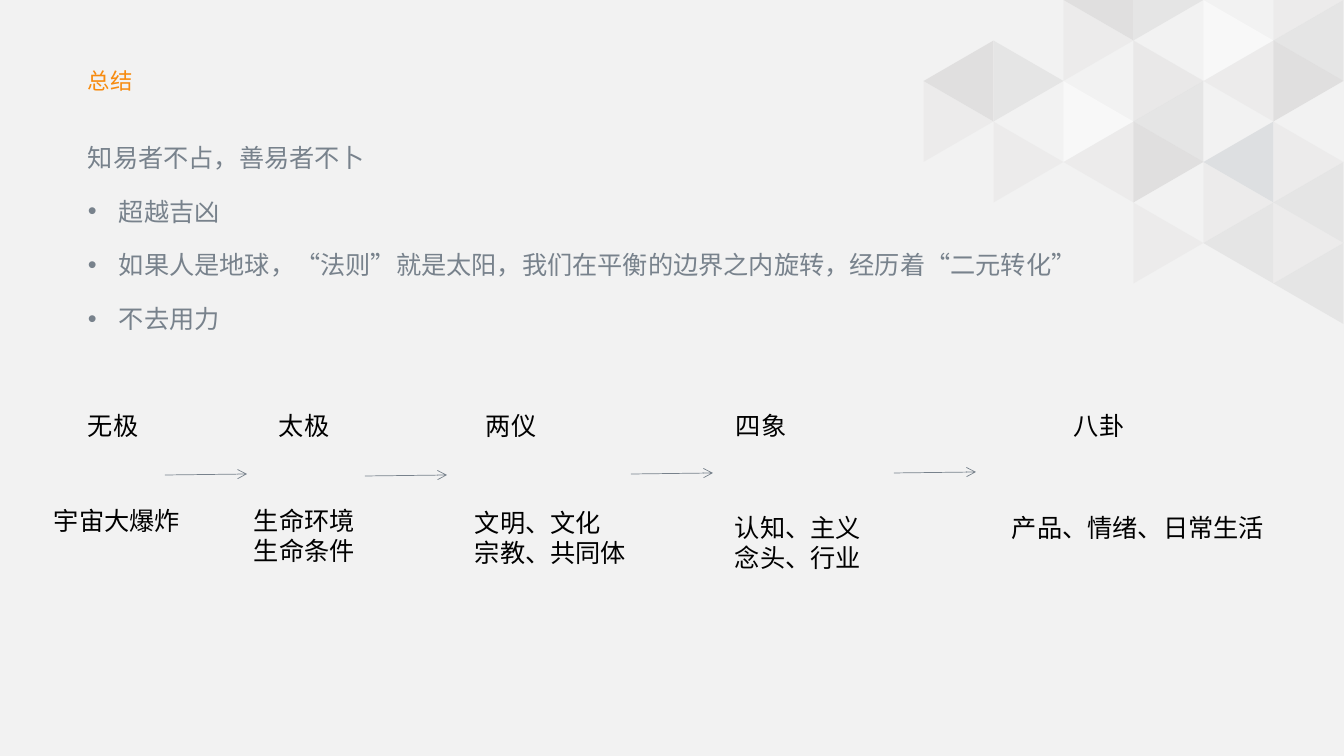
from dataclasses import dataclass

from lxml import etree
from pptx import Presentation
from pptx.dml.color import RGBColor
from pptx.enum.shapes import MSO_CONNECTOR, MSO_SHAPE
from pptx.enum.text import MSO_AUTO_SIZE, MSO_ANCHOR, PP_ALIGN
from pptx.oxml.ns import qn
from pptx.util import Emu, Pt

RECTANGLE, TRIANGLE = MSO_SHAPE.RECTANGLE, MSO_SHAPE.ISOSCELES_TRIANGLE
STRAIGHT = MSO_CONNECTOR.STRAIGHT
GROW, TOP, LEFT = MSO_AUTO_SIZE.SHAPE_TO_FIT_TEXT, MSO_ANCHOR.TOP, PP_ALIGN.LEFT

# Content
TITLE = "总结"
LEAD = "知易者不占，善易者不卜"
POINTS = [
    "超越吉凶",
    "如果人是地球，“法则”就是太阳，我们在平衡的边界之内旋转，经历着“二元转化”",
    "不去用力",
]
# Stage: name, name left, caption lines, caption left, caption top
STAGES = [
    ("无极", 78, ["宇宙大爆炸"], 44, 500),
    ("太极", 269, ["生命环境", "生命条件"], 244, 500),
    ("两仪", 476, ["文明、文化", "宗教、共同体"], 465, 502),
    ("四象", 726, ["认知、主义", "念头、行业"], 725, 507),
    ("八卦", 1064, ["产品、情绪、日常生活"], 1002, 507),
]
# Arrow: left, start height; each one rises by a single px
ARROWS = [(165, 475), (365, 476), (631, 474), (894, 473)]

# Triangle mosaic: one list per row, one word per column.
# A word holds the tint letters laid over each other; "-" is an empty place.
MOSAIC = [
    "- - d c f e",
    "- - e f w c",
    "d c f ee e d",
    "e f w c f f",
    "- e e d b e",
    "- - f f e fc",
    "- - f e c e",
    "- - - - - c",
]


@dataclass(frozen=True)
class Theme:
    font: str = "Noto Sans CJK SC"
    background: str = "F2F2F2"
    accent: str = "F78B0F"
    body: str = "78828C"
    label: str = "000000"
    title_size: int = 16
    text_size: int = 18
    arrow_width: float = 0.5


THEME = Theme()
TINTS = {"b": "C9CDD1", "c": "D9D9D9", "d": "D0CECE",
         "e": "E7E6E6", "f": "F2F2F2", "w": "FFFFFF"}

# Geometry in px
SLIDE_WIDTH, SLIDE_HEIGHT = 1344, 756
MOSAIC_LEFT, MOSAIC_TOP = 918, -35
TRIANGLE_BASE, TRIANGLE_HEIGHT = 81, 70
MARGIN, INDENT = 78, 31
NAME_TOP, ARROW_LENGTH = 405, 82
CHARACTER, LINE, PADDING = 25.2, 30, 20


def px(value):
    return Emu(round(value * 914400 / 100.8))


def add_filled(slide, preset, box, color, rotation=0, opacity=100):
    shape = slide.shapes.add_shape(preset, *map(px, box))
    shape.shadow.inherit = False
    shape.line.fill.background()
    shape.fill.solid()
    shape.fill.fore_color.rgb = RGBColor.from_string(color)
    shape.rotation = rotation
    if opacity < 100:
        tint = shape.fill._xPr.find(".//" + qn("a:srgbClr"))
        etree.SubElement(tint, qn("a:alpha"), val=str(opacity * 1000))


def add_text(slide, lines, box, *, size=THEME.text_size, color=THEME.label,
             wrap=True, spacing=None, after=None, bullets_from=None):
    frame = slide.shapes.add_textbox(*map(px, box)).text_frame
    frame.word_wrap = wrap
    frame.auto_size = GROW
    frame.vertical_anchor = TOP
    for index, line in enumerate(lines):
        paragraph = frame.paragraphs[0] if index == 0 else frame.add_paragraph()
        paragraph.alignment = LEFT
        if bullets_from is not None and index >= bullets_from:
            properties = paragraph._p.get_or_add_pPr()
            properties.set("marL", str(px(INDENT)))
            properties.set("indent", str(-px(INDENT)))
            etree.SubElement(properties, qn("a:buFont"), typeface="Arial")
            etree.SubElement(properties, qn("a:buChar"), char="•")
        if spacing:
            paragraph.line_spacing = spacing
        if after:
            paragraph.space_after = Pt(after)
        run = paragraph.add_run()
        run.text = line
        run.font.size = Pt(size)
        run.font.name = THEME.font
        run.font.color.rgb = RGBColor.from_string(color)
        etree.SubElement(run.font._element, qn("a:ea"), typeface=THEME.font)


def add_label(slide, lines, left, top):
    width = PADDING + CHARACTER * max(map(len, lines))
    height = 10 + LINE * len(lines)
    add_text(slide, lines, (left, top, width, height), wrap=False)


def add_arrow(slide, left, top):
    arrow = slide.shapes.add_connector(
        STRAIGHT, px(left), px(top), px(left + ARROW_LENGTH), px(top - 1))
    arrow.line.width = Pt(THEME.arrow_width)
    arrow.line.color.rgb = RGBColor.from_string(THEME.body)
    etree.SubElement(arrow.line._get_or_add_ln(), qn("a:tailEnd"), type="arrow")
    etree.SubElement(arrow._element.spPr, qn("a:effectLst"))


def add_mosaic(slide):
    for row, words in enumerate(MOSAIC):
        for column, letters in enumerate(words.split()):
            box = (MOSAIC_LEFT + column * TRIANGLE_HEIGHT,
                   MOSAIC_TOP + row * TRIANGLE_BASE / 2,
                   TRIANGLE_BASE, TRIANGLE_HEIGHT)
            rotation = 90 if (row + column) % 2 else 270
            for letter in letters.strip("-"):
                add_filled(slide, TRIANGLE, box, TINTS[letter], rotation, 50)


def main():
    presentation = Presentation()
    presentation.slide_width = px(SLIDE_WIDTH)
    presentation.slide_height = px(SLIDE_HEIGHT)
    slide = presentation.slides.add_slide(presentation.slide_layouts[6])

    # Backdrop
    add_filled(slide, RECTANGLE, (0, 0, SLIDE_WIDTH, SLIDE_HEIGHT), THEME.background)
    add_mosaic(slide)

    # Title and key points
    add_text(slide, [TITLE], (MARGIN, 62, 454, 37),
             size=THEME.title_size, color=THEME.accent)
    add_text(slide, [LEAD, *POINTS], (MARGIN, 122, 1151, 219),
             color=THEME.body, spacing=1.5, after=6, bullets_from=1)

    # Stages and the arrows between them
    for name, name_left, caption, caption_left, caption_top in STAGES:
        add_label(slide, [name], name_left, NAME_TOP)
        add_label(slide, caption, caption_left, caption_top)
    for left, top in ARROWS:
        add_arrow(slide, left, top)

    presentation.save("out.pptx")


if __name__ == "__main__":
    main()
